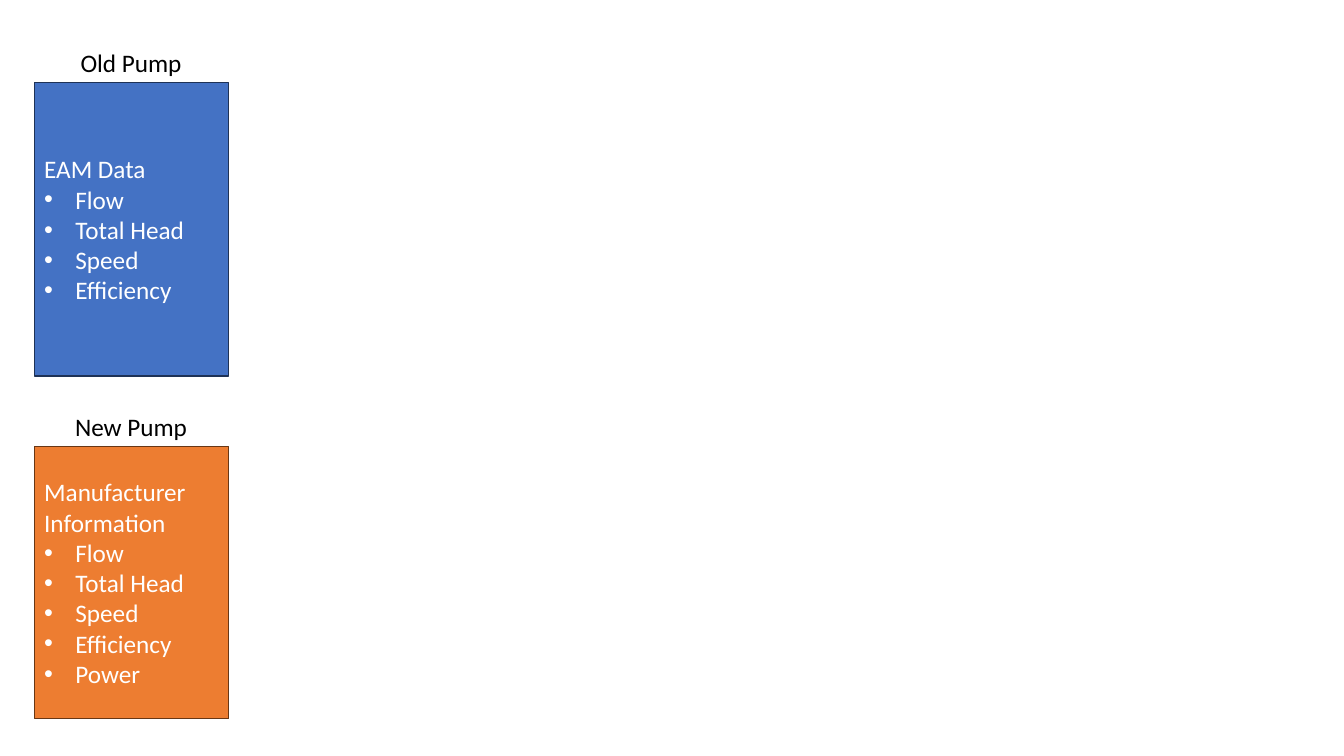
from lxml.etree import SubElement
from pptx import Presentation
from pptx.dml.color import RGBColor
from pptx.enum.shapes import MSO_SHAPE
from pptx.enum.text import MSO_ANCHOR, MSO_AUTO_SIZE, PP_ALIGN
from pptx.oxml.ns import qn
from pptx.util import Inches, Pt

FONT = "Calibri"
LEFT, WIDTH = 0.34, 1.93
LABEL_LEFT, LABEL_WIDTH, LABEL_HEIGHT = 0.46, 1.68, 0.4
SPECS = ["Flow", "Total Head", "Speed", "Efficiency"]


def rgb(code):
    """Turn a hex string into a colour."""
    return RGBColor.from_string(code)


def style(para, color, align):
    """Set the alignment of a paragraph and the font of its runs."""
    para.alignment = align
    for run in para.runs:
        run.font.name = FONT
        run.font.size = Pt(18)
        run.font.color.rgb = rgb(color)


def bullet(para):
    """Give a paragraph a hanging bullet."""
    props = para._p.get_or_add_pPr()
    props.set("marL", str(Inches(0.31)))
    props.set("indent", str(-Inches(0.31)))
    SubElement(props, qn("a:buFont")).set("typeface", "Arial")
    SubElement(props, qn("a:buChar")).set("char", "•")


def add_label(slide, top, text):
    """Add a centred pump name."""
    box = slide.shapes.add_textbox(Inches(LABEL_LEFT), Inches(top),
                                   Inches(LABEL_WIDTH), Inches(LABEL_HEIGHT))
    frame = box.text_frame
    frame.word_wrap = True
    frame.auto_size = MSO_AUTO_SIZE.SHAPE_TO_FIT_TEXT
    frame.text = text
    style(frame.paragraphs[0], "000000", PP_ALIGN.CENTER)


def add_card(slide, top, height, fill, line, title, items):
    """Add a filled box with a title and a bulleted list."""
    card = slide.shapes.add_shape(MSO_SHAPE.RECTANGLE, Inches(LEFT), Inches(top),
                                  Inches(WIDTH), Inches(height))
    card.shadow.inherit = False
    card.fill.solid()
    card.fill.fore_color.rgb = rgb(fill)
    card.line.color.rgb = rgb(line)
    card.line.width = Pt(1)
    frame = card.text_frame
    frame.word_wrap = True
    frame.vertical_anchor = MSO_ANCHOR.MIDDLE
    frame.text = "\n".join([title] + items)
    for para in frame.paragraphs:
        style(para, "FFFFFF", PP_ALIGN.LEFT)
    for para in frame.paragraphs[1:]:
        bullet(para)


def add_pump(slide, name, top, *card):
    """Add a card with the pump name right above it."""
    add_label(slide, top - LABEL_HEIGHT, name)
    add_card(slide, top, *card)


def main():
    """Build the slide that lists old and new pump data."""
    deck = Presentation()
    deck.slide_width = Inches(13.33)
    deck.slide_height = Inches(7.5)
    slide = deck.slides.add_slide(deck.slide_layouts[6])
    add_pump(slide, "Old Pump", 0.82, 2.91, "4472C4", "1E3256",
             "EAM Data", SPECS)
    add_pump(slide, "New Pump", 4.43, 2.7, "ED7D31", "683715",
             "Manufacturer Information", SPECS + ["Power"])
    deck.save("out.pptx")


main()
